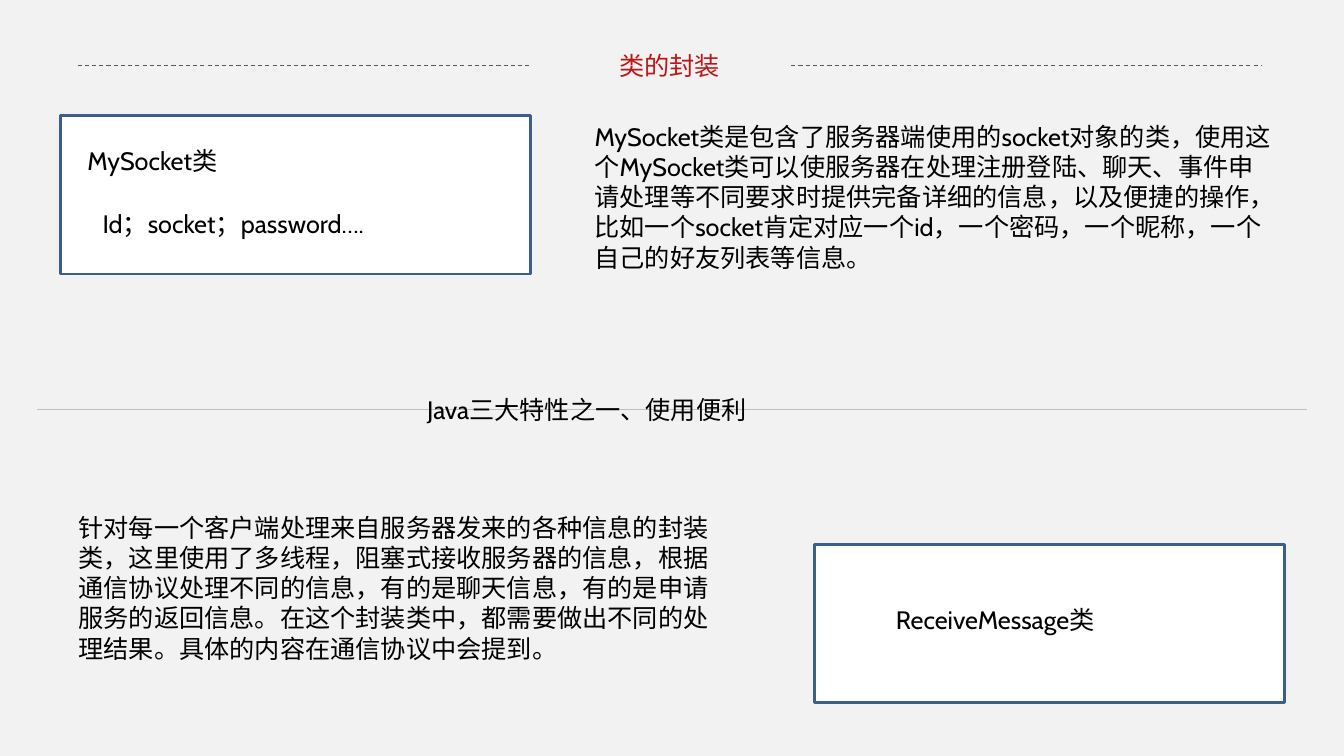
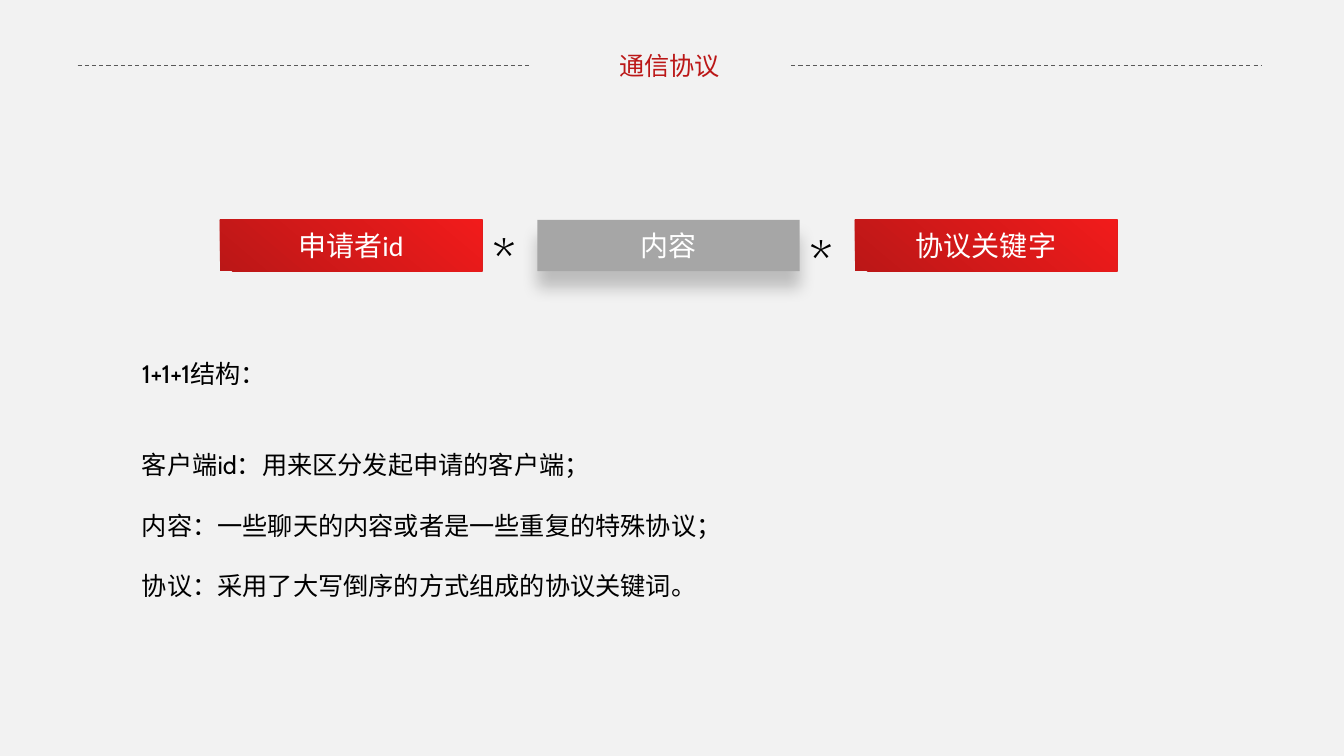
from dataclasses import dataclass

from lxml import etree
from pptx import Presentation
from pptx.dml.color import RGBColor
from pptx.enum.dml import MSO_LINE
from pptx.enum.shapes import MSO_CONNECTOR, MSO_SHAPE
from pptx.enum.text import MSO_ANCHOR, MSO_AUTO_SIZE, PP_ALIGN
from pptx.oxml import parse_xml
from pptx.oxml.ns import qn
from pptx.util import Pt

RECT = MSO_SHAPE.RECTANGLE
STRAIGHT = MSO_CONNECTOR.STRAIGHT
DASH = MSO_LINE.DASH
LEFT, CENTER = PP_ALIGN.LEFT, PP_ALIGN.CENTER
MIDDLE = MSO_ANCHOR.MIDDLE
GROW = MSO_AUTO_SIZE.SHAPE_TO_FIT_TEXT


@dataclass(frozen=True)
class Theme:
    back: str = "F2F2F2"
    white: str = "FFFFFF"
    black: str = "000000"
    red: str = "BB1717"
    bright: str = "F11B1B"
    gray: str = "A6A6A6"
    dash: str = "595959"
    rule: str = "BFBFBF"
    edge: str = "3A5F8C"
    body: str = "Cabin"
    head: str = "Calibri"
    cjk: str = "Noto Sans CJK SC"
    text: int = 18
    label: int = 20
    star: int = 40


T = Theme()
WIDE, HIGH = 960, 540

# Class slide: cards are (left, top), notes are (left, top, width, height, text)
CARD = (335.5, 113)
CARDS = [(43.2, 82.8), (581.8, 388.8)]
NOTES = [
    (55.4, 100.1, 232.6, 29, "MySocket类"),
    (66.2, 145.4, 289.4, 29, "Id；socket；password…."),
    (632.9, 428.4, 198.7, 29, "ReceiveMessage类"),
    (417.6, 82.8, 499.7, 116.6,
     "MySocket类是包含了服务器端使用的socket对象的类，使用这个MySocket类可以使"
     "服务器在处理注册登陆、聊天、事件申请处理等不同要求时提供完备详细的信息，"
     "以及便捷的操作，比如一个socket肯定对应一个id，一个密码，一个昵称，"
     "一个自己的好友列表等信息。"),
    (49, 362.2, 478.8, 116.6,
     "针对每一个客户端处理来自服务器发来的各种信息的封装类，这里使用了多线程，"
     "阻塞式接收服务器的信息，根据通信协议处理不同的信息，有的是聊天信息，"
     "有的是申请服务的返回信息。在这个封装类中，都需要做出不同的处理结果。"
     "具体的内容在通信协议中会提到。"),
    (298, 277.9, 447.8, 29, "Java三大特性之一、使用便利"),
]

# Protocol slide: labels are (text, font, accent), points are (text, lines skipped)
LABELS = [("申请者id", T.head, True), ("内容", T.cjk, False),
          ("协议关键字", T.head, True)]
STARS = [157, 158.4]
POINTS = [
    ("1+1+1结构：", 0),
    ("客户端id：用来区分发起申请的客户端；", 2),
    ("内容：一些聊天的内容或者是一些重复的特殊协议；", 1),
    ("协议：采用了大写倒序的方式组成的协议关键词。", 1),
]
LINE = 21.6


def rgb(code):
    return RGBColor.from_string(code)


def style(frame, font, size, color, align=LEFT):
    for para in frame.paragraphs:
        para.alignment = align
        for run in para.runs:
            run.font.name = font
            run.font.size = Pt(size)
            run.font.color.rgb = rgb(color)


def write(slide, box, text, font=T.body, size=T.text, color=T.black,
          align=LEFT, wrap=True):
    frame = slide.shapes.add_textbox(*map(Pt, box)).text_frame
    frame.word_wrap = wrap
    frame.auto_size = GROW
    frame.text = text
    style(frame, font, size, color, align)
    return frame


def rule(slide, start, end, y, color, dash=None):
    line = slide.shapes.add_connector(STRAIGHT, Pt(start), Pt(y), Pt(end), Pt(y))
    line.line.color.rgb = rgb(color)
    line.line.width = Pt(0.75)
    if dash:
        line.line.dash_style = dash
    etree.SubElement(line._element.spPr, qn("a:effectLst"))


def block(slide, box, fill, edge=None):
    shape = slide.shapes.add_shape(RECT, *map(Pt, box))
    shape.shadow.inherit = False
    shape.fill.solid()
    shape.fill.fore_color.rgb = rgb(fill)
    if edge:
        shape.line.color.rgb = rgb(edge)
        shape.line.width = Pt(2)
    else:
        shape.line.fill.background()
    return shape


def blend(shape):
    """Fill a shape with the red gradient, rising to the right."""
    shape.fill.gradient()
    shape.fill.gradient_angle = 50
    for stop, place, color in zip(shape.fill.gradient_stops, (0, 1), (T.red, T.bright)):
        stop.position = place
        stop.color.rgb = rgb(color)


def shade(shape):
    """Drop a soft shadow straight below a shape."""
    effects = shape._element.spPr.find(qn("a:effectLst"))
    effects.append(parse_xml(
        '<a:outerShdw xmlns:a="http://schemas.openxmlformats.org/drawingml/2006/main"'
        f' blurRad="{Pt(12)}" dist="{Pt(12)}" dir="5400000" rotWithShape="0">'
        f'<a:srgbClr val="{T.black}"><a:alpha val="22000"/></a:srgbClr>'
        '</a:outerShdw>'))


def start(deck, title):
    slide = deck.slides.add_slide(deck.slide_layouts[6])
    slide.background.fill.solid()
    slide.background.fill.fore_color.rgb = rgb(T.back)
    write(slide, (434.4, 32.4, 88, 29), title, T.head, color=T.red,
          align=CENTER, wrap=False)
    for left, right in ((55.4, 378.7), (565.2, 901.4)):
        rule(slide, left, right, 46.8, T.dash, DASH)
    return slide


def classes(deck):
    slide = start(deck, "类的封装")
    for spot in CARDS:
        block(slide, spot + CARD, T.white, T.edge)
    rule(slide, 26.6, 933.8, 292.3, T.rule)
    for *box, text in NOTES:
        write(slide, box, text)


def protocol(deck):
    slide = start(deck, "通信协议")
    left, top, width, height, gap = 157, 157, 187.4, 36.7, 39.4
    for i, (text, font, accent) in enumerate(LABELS):
        x = left + i * (width + gap)
        shape = block(slide, (x, top, width, height), T.gray)
        if accent:
            blend(shape)
        else:
            shade(shape)
        frame = shape.text_frame
        frame.text = text
        frame.vertical_anchor = MIDDLE
        style(frame, font, T.label, T.white, CENTER)
    for i, y in enumerate(STARS, 1):
        x = left + i * (width + gap) - gap
        write(slide, (x, y, gap, 55.4), "*", size=T.star)
    frame = write(slide, (94.3, 252.7, 828, 181.4),
                  "\n".join(text for text, skip in POINTS))
    for para, (text, skip) in zip(frame.paragraphs, POINTS):
        if skip:
            para.space_before = Pt(skip * LINE)


def main():
    deck = Presentation()
    deck.slide_width, deck.slide_height = Pt(WIDE), Pt(HIGH)
    classes(deck)
    protocol(deck)
    deck.save("out.pptx")


if __name__ == "__main__":
    main()
